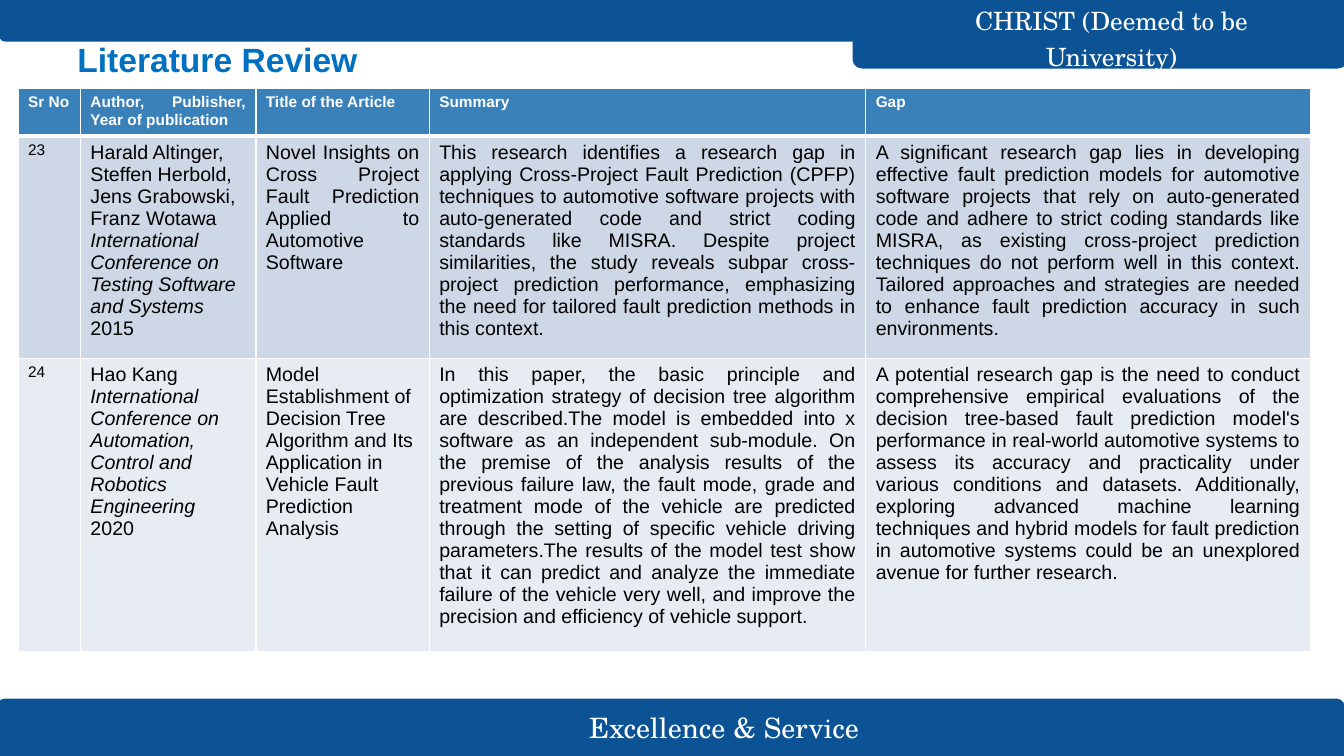
from dataclasses import dataclass

from lxml.etree import SubElement
from pptx import Presentation
from pptx.dml.color import RGBColor
from pptx.enum.shapes import MSO_SHAPE as Shape
from pptx.enum.text import MSO_ANCHOR as Anchor, PP_ALIGN as Align
from pptx.oxml.ns import qn
from pptx.util import Cm, Pt


@dataclass(frozen=True)
class Theme:
    band: str = "0B5394"
    title: str = "0070C0"
    header_fill: str = "3A81BA"
    row_fills: tuple[str, str] = ("CDD7E6", "E7ECF3")
    white: str = "FFFFFF"
    black: str = "000000"
    sans: str = "Arial"
    serif: str = "TeX Gyre Schola"
    title_size: float = 24
    footer_size: float = 20
    university_size: float = 18
    body_size: float = 14
    small_size: float = 11


@dataclass(frozen=True)
class Box:
    """A rectangle in centimetres."""
    left: float
    top: float
    width: float
    height: float

    def lengths(self) -> tuple[Cm, Cm, Cm, Cm]:
        return Cm(self.left), Cm(self.top), Cm(self.width), Cm(self.height)


@dataclass(frozen=True)
class Band:
    box: Box
    rotation: float = 180


@dataclass(frozen=True)
class Label:
    text: str
    box: Box
    size: float
    font: str
    color: str
    align: Align = Align.CENTER
    anchor: Anchor = Anchor.MIDDLE
    bold: bool = False
    line_spacing: float = 1.0


@dataclass(frozen=True)
class Article:
    number: str
    authors: str
    venue: str
    year: str
    title: str
    summary: str
    gap: str
    title_align: Align = Align.JUSTIFY


THEME = Theme()

BANDS = [
    Band(Box(-0.05, 17.63, 33.91, 1.42), rotation=0),
    Band(Box(0, 0, 33.91, 1.02)),
    Band(Box(21.51, 0, 12.42, 1.7)),
]

LABELS = [
    Label("Excellence & Service", Box(10.92, 17.93, 14.66, 0.81),
          THEME.footer_size, THEME.serif, THEME.white),
    Label("CHRIST (Deemed to be University)", Box(22.73, 0.38, 10.57, 1.02),
          THEME.university_size, THEME.serif, THEME.white, line_spacing=1.2),
    Label("Literature Review", Box(1.7, 0, 30.48, 2.24), THEME.title_size,
          THEME.sans, THEME.title, Align.LEFT, Anchor.BOTTOM, bold=True),
]

TABLE_LEFT, TABLE_TOP = 0.46, 2.24
COLUMN_WIDTHS = [1.57, 4.42, 4.37, 11.0, 11.2]
ROW_HEIGHTS = [1.09, 5.25, 6.9]
HEADINGS = ["Sr No", "Author, Publisher, Year of publication",
            "Title of the Article", "Summary", "Gap"]

ARTICLES = [
    Article(
        "23",
        "Harald Altinger, Steffen Herbold, Jens Grabowski, Franz Wotawa",
        "International Conference on Testing Software and Systems",
        "2015",
        "Novel Insights on Cross Project Fault Prediction Applied to Automotive Software",
        "This research identifies a research gap in applying Cross-Project Fault Prediction "
        "(CPFP) techniques to automotive software projects with auto-generated code and strict "
        "coding standards like MISRA. Despite project similarities, the study reveals subpar "
        "cross-project prediction performance, emphasizing the need for tailored fault "
        "prediction methods in this context.",
        "A significant research gap lies in developing effective fault prediction models for "
        "automotive software projects that rely on auto-generated code and adhere to strict "
        "coding standards like MISRA, as existing cross-project prediction techniques do not "
        "perform well in this context. Tailored approaches and strategies are needed to enhance "
        "fault prediction accuracy in such environments.",
    ),
    Article(
        "24",
        "Hao Kang",
        "International Conference on Automation, Control and Robotics Engineering",
        "2020",
        "Model Establishment of Decision Tree Algorithm and Its Application in Vehicle Fault "
        "Prediction Analysis",
        "In this paper, the basic principle and optimization strategy of decision tree algorithm "
        "are described.The model is embedded into x software as an independent sub-module. On "
        "the premise of the analysis results of the previous failure law, the fault mode, grade "
        "and treatment mode of the vehicle are predicted through the setting of specific vehicle "
        "driving parameters.The results of the model test show that it can predict and analyze "
        "the immediate failure of the vehicle very well, and improve the precision and "
        "efficiency of vehicle support.",
        "A potential research gap is the need to conduct comprehensive empirical evaluations of "
        "the decision tree-based fault prediction model's performance in real-world automotive "
        "systems to assess its accuracy and practicality under various conditions and datasets. "
        "Additionally, exploring advanced machine learning techniques and hybrid models for "
        "fault prediction in automotive systems could be an unexplored avenue for further "
        "research.",
        title_align=Align.LEFT,
    ),
]


def write(p, text: str, *, size: float = THEME.body_size, font: str = THEME.sans,
          color: str = THEME.black, bold: bool = False, italic: bool = False,
          align: Align = Align.JUSTIFY, line_spacing: float = 1.0) -> None:
    p.alignment, p.line_spacing = align, line_spacing
    r = p.add_run()
    r.text = text
    r.font.size, r.font.name = Pt(size), font
    r.font.bold, r.font.italic = bold, italic
    r.font.color.rgb = RGBColor.from_string(color)


def draw_band(slide, band: Band) -> None:
    sp = slide.shapes.add_shape(Shape.ROUND_2_SAME_RECTANGLE, *band.box.lengths())
    sp.adjustments[0], sp.adjustments[1] = 0.125, 0
    sp.rotation = band.rotation
    sp.shadow.inherit = False
    sp.fill.solid()
    sp.fill.fore_color.rgb = sp.line.color.rgb = RGBColor.from_string(THEME.band)
    sp.line.width = Pt(1.5)


def draw_label(slide, label: Label) -> None:
    tf = slide.shapes.add_textbox(*label.box.lengths()).text_frame
    tf.word_wrap, tf.vertical_anchor = True, label.anchor
    tf.margin_left = tf.margin_right = tf.margin_top = tf.margin_bottom = Cm(0.25)
    write(tf.paragraphs[0], label.text, size=label.size, font=label.font, color=label.color,
          bold=label.bold, align=label.align, line_spacing=label.line_spacing)


def style_cell(cell, fill: str, top: float = 1, bottom: float = 1) -> None:
    """Set margins, white borders (widths in points) and fill."""
    cell.margin_left = cell.margin_right = Cm(0.25)
    cell.margin_top = cell.margin_bottom = Cm(0.13)
    tcPr = cell._tc.get_or_add_tcPr()
    for side, width in {"L": 1, "R": 1, "T": top, "B": bottom}.items():
        ln = SubElement(tcPr, qn(f"a:ln{side}"), w=str(Pt(width)))
        SubElement(SubElement(ln, qn("a:solidFill")), qn("a:srgbClr"), val=THEME.white)
    cell.fill.solid()
    cell.fill.fore_color.rgb = RGBColor.from_string(fill)


def fill_article(cells, article: Article) -> None:
    number, source, title, summary, gap = (cell.text_frame for cell in cells)
    write(number.paragraphs[0], article.number, size=THEME.small_size)
    write(source.paragraphs[0], article.authors, align=Align.LEFT)
    write(source.add_paragraph(), article.venue, italic=True, align=Align.LEFT)
    write(source.add_paragraph(), article.year, align=Align.LEFT)
    write(title.paragraphs[0], article.title, align=article.title_align)
    write(summary.paragraphs[0], article.summary)
    write(gap.paragraphs[0], article.gap)


def draw_review_table(slide) -> None:
    box = Box(TABLE_LEFT, TABLE_TOP, sum(COLUMN_WIDTHS), sum(ROW_HEIGHTS))
    table = slide.shapes.add_table(len(ROW_HEIGHTS), len(COLUMN_WIDTHS), *box.lengths()).table
    for column, width in zip(table.columns, COLUMN_WIDTHS):
        column.width = Cm(width)
    for row, height in zip(table.rows, ROW_HEIGHTS):
        row.height = Cm(height)
    header, *body = (list(row.cells) for row in table.rows)
    for cell, heading in zip(header, HEADINGS):
        style_cell(cell, THEME.header_fill, bottom=3)
        write(cell.text_frame.paragraphs[0], heading, size=THEME.small_size,
              color=THEME.white, bold=True)
    for i, (cells, article) in enumerate(zip(body, ARTICLES)):
        for cell in cells:
            style_cell(cell, THEME.row_fills[i % 2], top=1 if i else 3)
        fill_article(cells, article)


def main() -> None:
    prs = Presentation()
    prs.slide_width, prs.slide_height = Cm(33.87), Cm(19.05)
    slide = prs.slides.add_slide(prs.slide_layouts[6])
    for band in BANDS:
        draw_band(slide, band)
    for label in LABELS:
        draw_label(slide, label)
    draw_review_table(slide)
    prs.save("out.pptx")


if __name__ == "__main__":
    main()
